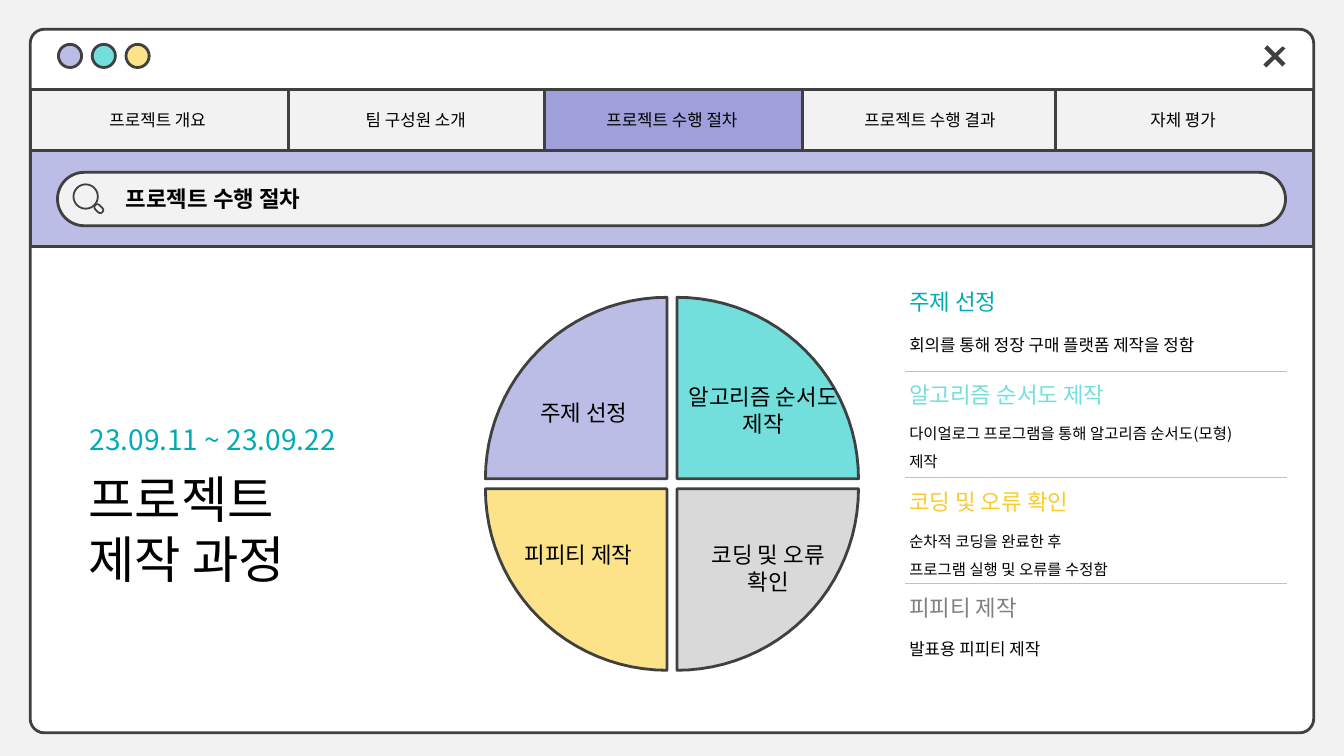
from math import cos, sin, pi
from pptx import Presentation
from pptx.dml.color import RGBColor
from pptx.enum.shapes import MSO_CONNECTOR as Conn, MSO_SHAPE as Kind
from pptx.enum.text import MSO_AUTO_SIZE as Fit, PP_ALIGN as Align
from pptx.oxml.ns import qn
from pptx.util import Inches, Pt
from lxml.etree import SubElement

DARK = RGBColor(0x40, 0x40, 0x40)
BLACK = RGBColor(0, 0, 0)
WHITE = RGBColor(255, 255, 255)
PALE = RGBColor(0xF2, 0xF2, 0xF2)
LILAC = RGBColor(0xBC, 0xBD, 0xE6)
VIOLET = RGBColor(0x9E, 0x9F, 0xDB)
AQUA = RGBColor(0x73, 0xDF, 0xDC)
TEAL = RGBColor(0x00, 0xAC, 0xB4)
CREAM = RGBColor(0xFC, 0xE3, 0x8A)
GOLD = RGBColor(0xFA, 0xCC, 0x2B)
SILVER = RGBColor(0xD9, 0xD9, 0xD9)
GRAY = RGBColor(0x80, 0x80, 0x80)
HEAD, BODY = "Cabin", "Noto Sans CJK KR"

DOTS = [LILAC, AQUA, CREAM]
TABS = [
    ("프로젝트 개요", 0.3, PALE),
    ("팀 구성원 소개", 2.86, PALE),
    ("프로젝트 수행 절차", 5.4, VIOLET),
    ("프로젝트 수행 결과", 7.96, PALE),
    ("자체 평가", 10.47, PALE),
]
TITLE = "프로젝트 수행 절차"
DATES = "23.09.11 ~ 23.09.22"
TOPIC = ["프로젝트", "제작 과정"]
PARTS = [
    (["주제 선정"], LILAC, -1, -1, (4.92, 3.91, 1.74, 0.37)),
    (["알고리즘 순서도 제작"], AQUA, 1, -1, (6.67, 3.75, 1.8, 0.64)),
    (["피피티 제작"], CREAM, -1, 1, (4.87, 5.32, 1.74, 0.37)),
    (["코딩 및 오류", "확인"], SILVER, 1, 1, (6.72, 5.32, 1.8, 0.64)),
]
STEPS = [
    ("주제 선정", TEAL, 2.81, ["회의를 통해 정장 구매 플랫폼 제작을 정함"], 12, 3.17),
    ("알고리즘 순서도 제작", AQUA, 3.73,
     ["다이얼로그 프로그램을 통해 알고리즘 순서도(모형)제작"], 11, 4.07),
    ("코딩 및 오류 확인", GOLD, 4.79,
     ["순차적 코딩을 완료한 후", "프로그램 실행 및 오류를 수정함"], 11, 5.14),
    ("피피티 제작", GRAY, 5.85, ["발표용 피피티 제작"], 12, 6.19),
]
RULES = [3.68, 4.74, 5.79]
CROSS = [
    [(12.72, 0.66), (12.54, 0.48), (12.57, 0.45), (12.75, 0.63)],
    [(12.56, 0.67), (12.53, 0.64), (12.72, 0.46), (12.75, 0.48)],
]

deck = Presentation()
deck.slide_width, deck.slide_height = Inches(13.33), Inches(7.5)
slide = deck.slides.add_slide(deck.slide_layouts[6])
slide.background.fill.solid()
slide.background.fill.fore_color.rgb = PALE
shapes = slide.shapes


def paint(shape, fill, edge=True):
    shape.shadow.inherit = False
    shape.fill.solid()
    shape.fill.fore_color.rgb = fill
    if edge:
        shape.line.color.rgb = DARK
        shape.line.width = Pt(2)
    else:
        shape.line.fill.background()
    return shape


def draw(kind, box, fill, edge=True, bend=None):
    shape = paint(shapes.add_shape(kind, *map(Inches, box)), fill, edge)
    if bend is not None:
        shape.adjustments[0] = bend
    return shape


def outline(points, fill, edge=True):
    dots = [(Inches(x), Inches(y)) for x, y in points]
    pen = shapes.build_freeform(*dots[0])
    pen.add_line_segments(dots[1:], close=True)
    return paint(pen.convert_to_shape(), fill, edge)


def write(lines, box, size, color=BLACK, font=HEAD, align=Align.LEFT,
          bold=False, gap=None):
    frame = shapes.add_textbox(*map(Inches, box)).text_frame
    frame.word_wrap = True
    frame.auto_size = Fit.SHAPE_TO_FIT_TEXT
    frame.text = "\n".join(lines)
    for para in frame.paragraphs:
        para.alignment = align
        para.line_spacing = gap
        para.font.name = font
        para.font.size = Pt(size)
        para.font.bold = bold
        para.font.color.rgb = color


draw(Kind.ROUNDED_RECTANGLE, (0.3, 0.29, 12.73, 6.98), WHITE, bend=0.02)
for i, color in enumerate(DOTS):
    draw(Kind.OVAL, (0.58 + i * 0.335, 0.44, 0.23, 0.23), color)
for bar in CROSS:
    outline(bar, DARK, False)

for name, left, color in TABS:
    draw(Kind.RECTANGLE, (left, 0.89, 2.56, 0.6), color)
for name, left, color in TABS:
    write([name], (left, 1.04, 2.53, 0.3), 12, align=Align.CENTER)

draw(Kind.RECTANGLE, (0.3, 1.49, 12.73, 0.96), LILAC)
draw(Kind.ROUNDED_RECTANGLE, (0.57, 1.71, 12.18, 0.53), PALE, bend=0.5)
draw(Kind.DONUT, (0.72, 1.82, 0.26, 0.26), DARK, False, 0.07)
grip = draw(Kind.ROUNDED_RECTANGLE, (0.93, 2.04, 0.1, 0.06), PALE, bend=0.5)
grip.line.width = Pt(1.25)
grip.rotation = 45
write([TITLE], (1.15, 1.79, 10.27, 0.37), 16, bold=True)

SPAN, STEP = 1.8, 24
for lines, color, sx, sy, box in PARTS:
    x, y = 6.665 + sx * 0.05, 4.8 + sy * 0.05
    turns = [i * pi / 2 / STEP for i in range(STEP + 1)]
    arc = [(x + sx * SPAN * cos(t), y + sy * SPAN * sin(t)) for t in turns]
    outline([(x, y)] + arc, color)
for lines, color, sx, sy, box in PARTS:
    write(lines, box, 16, align=Align.CENTER)

write(TOPIC, (0.78, 4.59, 4.38, 1.31), 36)
write([DATES], (0.79, 4.14, 3.57, 0.44), 20, TEAL, BODY)

for head, color, top, lines, size, low in STEPS:
    write([head], (8.92, top, 3.15, 0.37), 16, color)
    write(lines, (8.92, low, 3.57, 0.33 * len(lines)), size, font=BODY, gap=1.5)
for y in RULES:
    rule = shapes.add_connector(
        Conn.STRAIGHT, Inches(8.98), Inches(y), Inches(12.76), Inches(y))
    rule.line.color.rgb = LILAC
    rule.line.width = Pt(0.5)
    SubElement(rule._element.spPr, qn("a:effectLst"))

deck.save("out.pptx")
